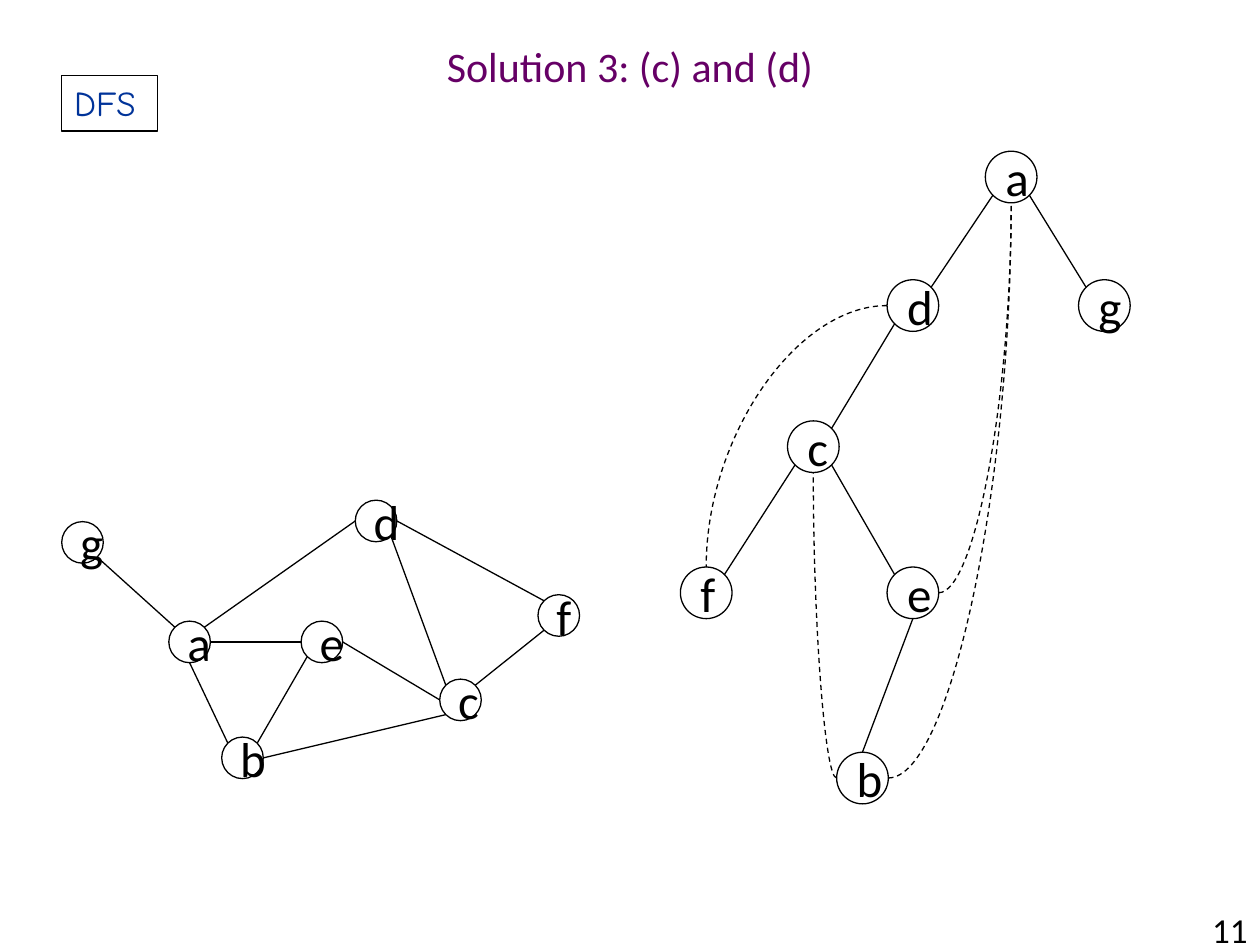
"""Slide with a graph and its depth-first search tree."""
from math import sqrt

from lxml import etree
from pptx import Presentation
from pptx.dml.color import RGBColor
from pptx.enum import dml, shapes, text
from pptx.oxml.ns import qn
from pptx.util import Inches, Pt

COLORS = {"title": "660066", "ink": "000000", "label": "003399"}
DIAGONAL = sqrt(0.5)
SITES = {
    "top": (0, -1), "bottom": (0, 1), "left": (-1, 0), "right": (1, 0),
    "top left": (-DIAGONAL, -DIAGONAL), "top right": (DIAGONAL, -DIAGONAL),
    "bottom left": (-DIAGONAL, DIAGONAL), "bottom right": (DIAGONAL, DIAGONAL),
}

GRAPH = {
    "size": 0.33,
    "nodes": {"g": (0.49, 4.14), "a": (1.34, 4.93), "d": (2.82, 3.97), "e": (2.39, 4.93),
              "b": (1.76, 5.85), "c": (3.49, 5.39), "f": (4.27, 4.72)},
    "edges": [
        ("g", "bottom right", "a", "top left"),
        ("a", "bottom", "b", "top left"),
        ("d", "left", "a", "top right"),
        ("a", "right", "e", "left"),
        ("e", "bottom left", "b", "top right"),
        ("b", "right", "c", "bottom left"),
        ("e", "right", "c", "left"),
        ("f", "bottom left", "c", "top right"),
        ("d", "bottom right", "c", "top left"),
        ("d", "right", "f", "top left"),
    ],
    "back_edges": [],
}
TREE = {
    "size": 0.41,
    "nodes": {"g": (8.56, 2.22), "a": (7.82, 1.2), "d": (7.04, 2.22), "e": (7.04, 4.5),
              "b": (6.64, 5.97), "c": (6.25, 3.34), "f": (5.4, 4.5)},
    "edges": [
        ("g", "top left", "a", "bottom right"),
        ("d", "top right", "a", "bottom left"),
        ("d", "bottom left", "c", "top right"),
        ("c", "bottom left", "f", "top right"),
        ("c", "bottom right", "e", "top left"),
        ("e", "bottom", "b", "top"),
    ],
    "back_edges": [
        ("b", "left", "c", "bottom"),
        ("d", "left", "f", "top"),
        ("e", "right", "a", "bottom"),
        ("b", "right", "a", "bottom"),
    ],
}


def rgb(name):
    return RGBColor.from_string(COLORS[name])


def write(shape, words, size, color="ink", font="Calibri",
          align=text.PP_ALIGN.LEFT, anchor=text.MSO_ANCHOR.MIDDLE):
    frame = shape.text_frame
    frame.word_wrap = True
    frame.vertical_anchor = anchor
    paragraph = frame.paragraphs[0]
    paragraph.text = words
    paragraph.alignment = align
    paragraph.font.size = Pt(size)
    paragraph.font.name = font
    paragraph.font.color.rgb = rgb(color)
    return paragraph


def ink_line(shape):
    shape.line.color.rgb = rgb("ink")
    shape.line.width = Pt(0.75)


def outlined(slide, preset, *box):
    shape = slide.shapes.add_shape(preset, *map(Inches, box))
    shape.shadow.inherit = False
    shape.fill.background()
    ink_line(shape)
    return shape


def site_point(diagram, node, site):
    radius = diagram["size"] / 2
    return [Inches(corner + radius * (1 + offset))
            for corner, offset in zip(diagram["nodes"][node], SITES[site])]


def connect(slide, diagram, edge, kind):
    start, start_site, end, end_site = edge
    link = slide.shapes.add_connector(
        kind, *site_point(diagram, start, start_site), *site_point(diagram, end, end_site))
    ink_line(link)
    etree.SubElement(link._element.spPr, qn("a:effectLst"))
    return link


def draw(slide, diagram):
    size = diagram["size"]
    for letter, corner in diagram["nodes"].items():
        write(outlined(slide, shapes.MSO_SHAPE.OVAL, *corner, size, size), letter, 28)
    for edge in diagram["edges"]:
        connect(slide, diagram, edge, shapes.MSO_CONNECTOR.STRAIGHT)
    for edge in diagram["back_edges"]:
        curve = connect(slide, diagram, edge, shapes.MSO_CONNECTOR.CURVE)
        curve.line.dash_style = dml.MSO_LINE.DASH
        curve._element.spPr.find(qn("a:prstGeom")).set("prst", "curvedConnector2")


def main():
    deck = Presentation()
    deck.slide_width, deck.slide_height = Inches(10), Inches(7.5)
    slide = deck.slides.add_slide(deck.slide_layouts[6])

    title = slide.shapes.add_textbox(*map(Inches, (0, 0.32, 10, 0.5)))
    heading = write(title, "Solution 3: (c) and (d)", 24, "title", align=text.PP_ALIGN.CENTER)
    heading.line_spacing = 0.7
    page = slide.shapes.add_textbox(*map(Inches, (7.92, 7.25, 2.08, 0.25)))
    write(page, "11", 20, align=text.PP_ALIGN.RIGHT)

    for diagram in (GRAPH, TREE):
        draw(slide, diagram)

    method = outlined(slide, shapes.MSO_SHAPE.RECTANGLE, 0.49, 0.6, 0.76, 0.44)
    write(method, "DFS", 20, "label", "Comic Neue", anchor=text.MSO_ANCHOR.TOP)
    deck.save("out.pptx")


if __name__ == "__main__":
    main()
